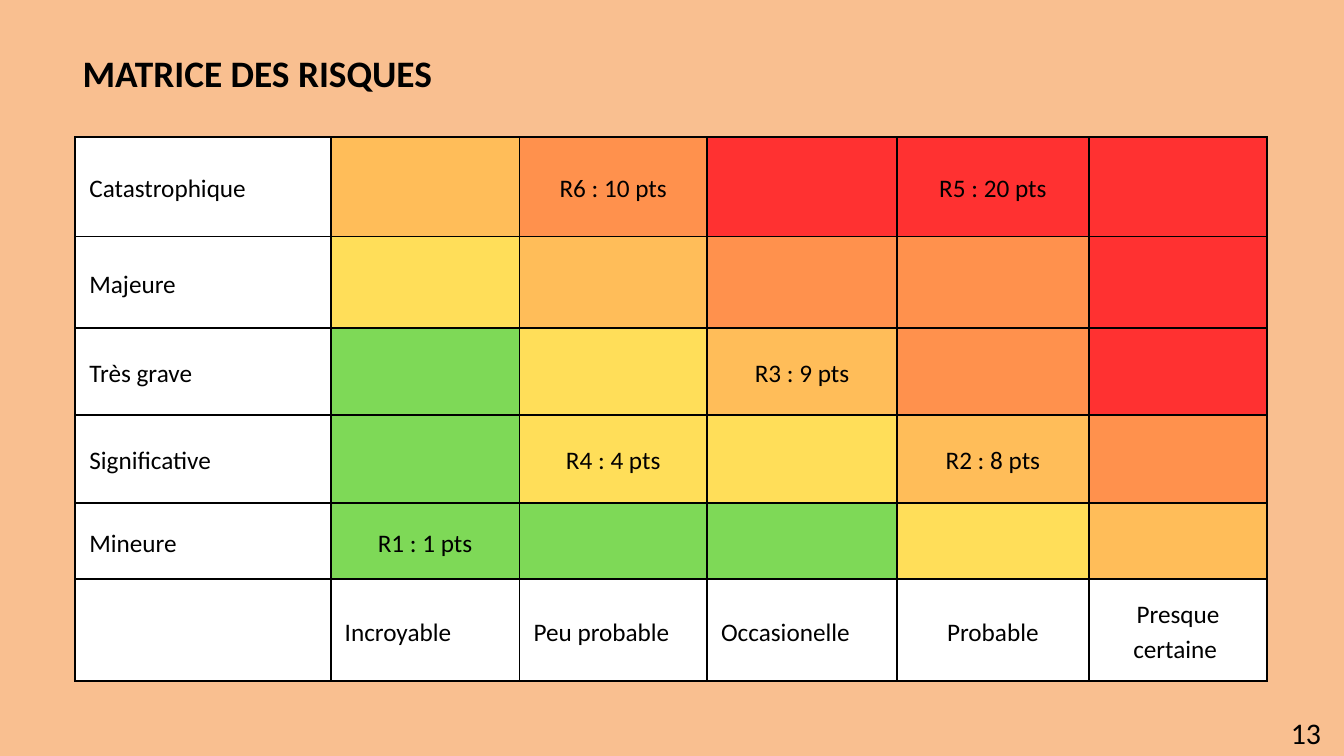
from lxml import etree
from pptx import Presentation
from pptx import util as u
from pptx.dml.color import RGBColor
from pptx.enum import text
from pptx.oxml import ns

COLORS = {
    "background": "F9BF90", "ink": "000000", "W": "FFFFFF",
    "G": "7ED957", "Y": "FFDE59", "A": "FFBD59", "O": "FF914D", "R": "FF3131",
}
LEFT, CENTER = text.PP_ALIGN.LEFT, text.PP_ALIGN.CENTER


def write(frame, words, size=27, spacing=37.8, bold=False, align=LEFT):
    """Put one formatted paragraph in a text frame."""
    frame.word_wrap = True
    paragraph = frame.paragraphs[0]
    paragraph.alignment = align
    paragraph.line_spacing = u.Pt(spacing)
    paragraph.space_before = u.Pt(0)
    run = paragraph.add_run()
    run.text = words
    run.font.name = "Calibri"
    run.font.size = u.Pt(size)
    run.font.bold = bold
    run.font.color.rgb = RGBColor.from_string(COLORS["ink"])


def add_borders(cell, width=2.25):
    """Draw a solid line on the four sides of a cell."""
    properties = cell._tc.get_or_add_tcPr()
    for side in ("a:lnL", "a:lnR", "a:lnT", "a:lnB"):
        line = etree.SubElement(properties, ns.qn(side), w=str(u.Pt(width)))
        fill = etree.SubElement(line, ns.qn("a:solidFill"))
        etree.SubElement(fill, ns.qn("a:srgbClr"), val=COLORS["ink"])


# Slide and background
presentation = Presentation()
presentation.slide_width = u.Inches(20)
presentation.slide_height = u.Inches(11.25)
slide = presentation.slides.add_slide(presentation.slide_layouts[5])
slide.background.fill.solid()
slide.background.fill.fore_color.rgb = RGBColor.from_string(COLORS["background"])

# Risk matrix: severity by row, likelihood by column
column_widths = [3.8, 2.81, 2.79, 2.83, 2.85, 2.66]
row_heights = [1.48, 1.36, 1.29, 1.32, 1.13, 1.52]
severities = ["Catastrophique", "Majeure", "Très grave", "Significative", "Mineure"]
likelihoods = ["Incroyable", "Peu probable", "Occasionelle", "Probable", "Presque certaine "]
levels = ["WAORRR", "WYAOOR", "WGYAOR", "WGYYAO", "WGGGYA", "WWWWWW"]
labels = {(row, 0): name for row, name in enumerate(severities)}
labels |= {(5, column): name for column, name in enumerate(likelihoods, 1)}
risks = {
    (4, 1): "R1 : 1 pts", (3, 4): "R2 : 8 pts", (2, 3): "R3 : 9 pts",
    (3, 2): "R4 : 4 pts", (0, 4): "R5 : 20 pts", (0, 2): "R6 : 10 pts",
}
centered = {*risks, (5, 4), (5, 5)}
labels |= risks

matrix = slide.shapes.add_table(
    len(row_heights), len(column_widths), u.Inches(1.12), u.Inches(2.04),
    u.Inches(sum(column_widths)), u.Inches(sum(row_heights))).table
matrix.first_row = matrix.horz_banding = False
for column, width in zip(matrix.columns, column_widths):
    column.width = u.Inches(width)
for row, height in zip(matrix.rows, row_heights):
    row.height = u.Inches(height)

for row, line in enumerate(levels):
    for column, level in enumerate(line):
        cell = matrix.cell(row, column)
        add_borders(cell)
        cell.fill.solid()
        cell.fill.fore_color.rgb = RGBColor.from_string(COLORS[level])
        cell.vertical_anchor = text.MSO_ANCHOR.MIDDLE
        cell.margin_left = cell.margin_right = u.Inches(0.21)
        cell.margin_top = cell.margin_bottom = u.Inches(0.21)
        if (row, column) in labels:
            write(cell.text_frame, labels[row, column],
                  align=CENTER if (row, column) in centered else LEFT)

# Title and page number
title = slide.shapes.title
number = slide.shapes.add_textbox(0, 0, 0, 0)
for shape, box, words, style in [
    (title, (1.23, 0.86, 7.07, 0.58), "MATRICE DES RISQUES",
     dict(size=40, spacing=40, bold=True)),
    (number, (18.97, 10.55, 0.93, 0.6), "13",
     dict(size=32, spacing=44.8, align=CENTER)),
]:
    shape.left, shape.top, shape.width, shape.height = map(u.Inches, box)
    frame = shape.text_frame
    frame.margin_left = frame.margin_right = 0
    frame.margin_top = frame.margin_bottom = 0
    frame.vertical_anchor = text.MSO_ANCHOR.TOP
    frame.auto_size = text.MSO_AUTO_SIZE.NONE
    write(frame, words, **style)

presentation.save("out.pptx")
